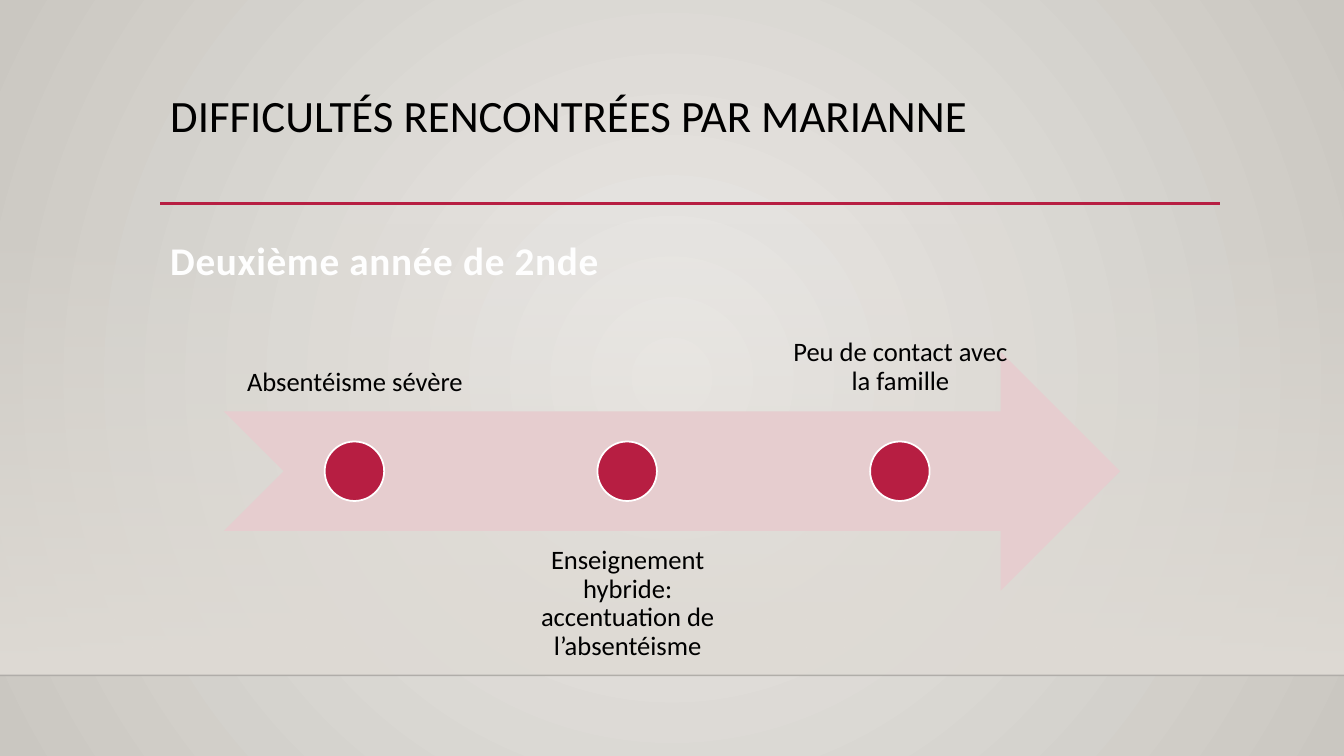
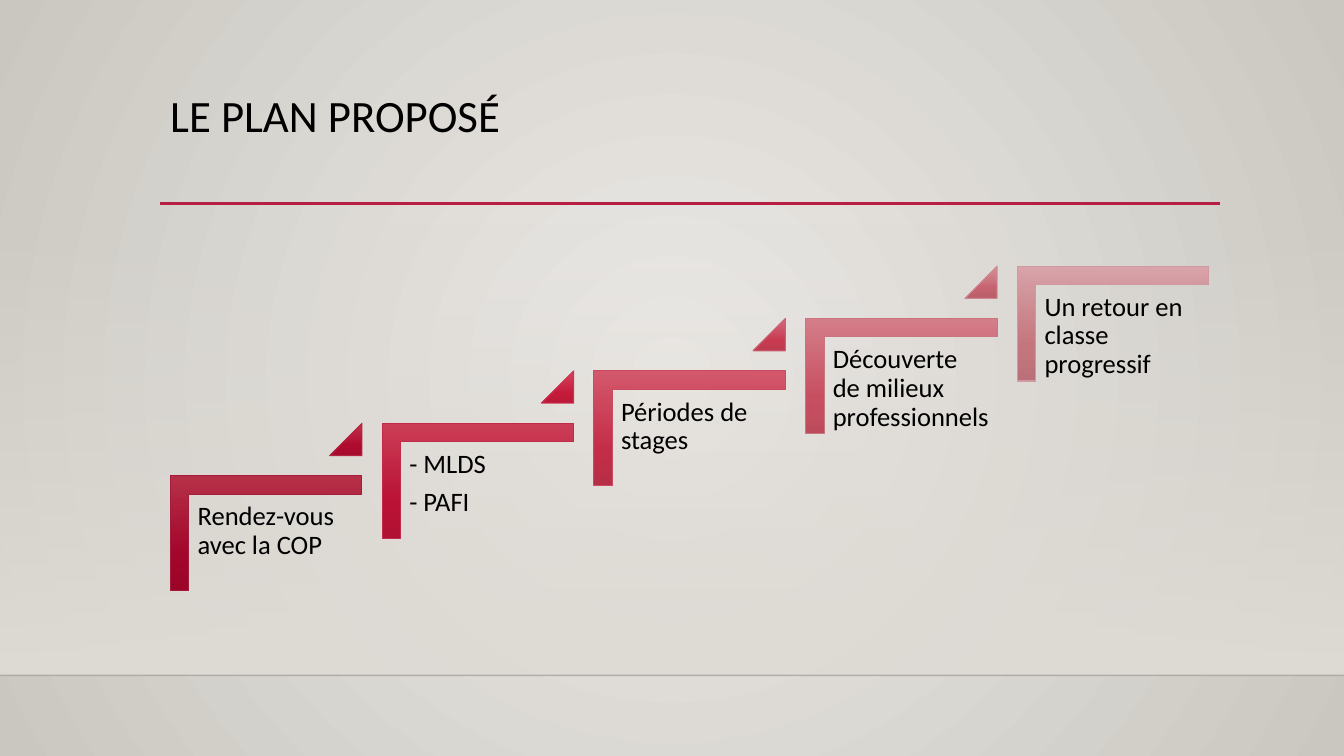
from lxml import etree
from pptx import Presentation
from pptx.dml.color import RGBColor
from pptx.enum.shapes import MSO_CONNECTOR, MSO_SHAPE
from pptx.enum.text import MSO_ANCHOR, PP_ALIGN
from pptx.oxml.ns import qn
from pptx.util import Inches, Pt

STRAIGHT = MSO_CONNECTOR.STRAIGHT
RECTANGLE, OVAL = MSO_SHAPE.RECTANGLE, MSO_SHAPE.OVAL
ARROW, CORNER = MSO_SHAPE.NOTCHED_RIGHT_ARROW, MSO_SHAPE.CORNER
TRIANGLE = MSO_SHAPE.ISOSCELES_TRIANGLE
TOP, BOTTOM = MSO_ANCHOR.TOP, MSO_ANCHOR.BOTTOM
LEFT, CENTER = PP_ALIGN.LEFT, PP_ALIGN.CENTER

color = RGBColor.from_string
FONT = "Calibri"
BLACK, WHITE, OFF_WHITE = "000000", "FFFFFF", "FEFEFE"
CRIMSON, PINK, SAND = "B71E42", "E6CDCF", "DFDBD5"


def add_text(page, area, lines, size, tint=BLACK, align=LEFT, anchor=TOP,
             inset=None, spacing=0.9, before=0, after=0):
    box = page.shapes.add_textbox(*map(Inches, area))
    frame = box.text_frame
    frame.word_wrap = True
    frame.vertical_anchor = anchor
    if inset is not None:
        frame.margin_left = frame.margin_right = Inches(inset)
        frame.margin_top = frame.margin_bottom = Inches(inset)
    frame.text = "\n".join(lines)
    for para in frame.paragraphs:
        para.alignment = align
        para.line_spacing = spacing
        para.space_before, para.space_after = Pt(before), Pt(after)
        para.font.name, para.font.size = FONT, Pt(size)
        para.font.color.rgb = color(tint)
    return box


def paint_gradient(fill, element, stops, radial=False):
    """Stops are (percent, colour, opacity percent)."""
    fill.gradient()
    gradient = next(element.iter(qn("a:gradFill")))
    gradient.set("rotWithShape", "0")
    for child in list(gradient):
        gradient.remove(child)
    stop_list = etree.SubElement(gradient, qn("a:gsLst"))
    for percent, tint, opacity in stops:
        stop = etree.SubElement(stop_list, qn("a:gs"), pos=str(percent * 1000))
        shade = etree.SubElement(stop, qn("a:srgbClr"), val=tint)
        if opacity < 100:
            etree.SubElement(shade, qn("a:alpha"), val=str(opacity * 1000))
    if radial:
        circle = etree.SubElement(gradient, qn("a:path"), {"path": "circle"})
        etree.SubElement(circle, qn("a:fillToRect"),
                         dict.fromkeys("ltrb", "50000"))
    else:
        etree.SubElement(gradient, qn("a:lin"), ang="5400000", scaled="0")


deck = Presentation()
deck.slide_width, deck.slide_height = Inches(13.33), Inches(7.5)

# Shared background
master = deck.slide_master
paint_gradient(master.background.fill, master._element,
               [(0, "ECEAE7", 100), (100, "CAC7C1", 100)], radial=True)

# Shared band, rules and title
pages = []
for title in ("DIFFICULTÉS RENCONTRÉES PAR MARIANNE", "LE PLAN PROPOSÉ"):
    page = deck.slides.add_slide(deck.slide_layouts[6])
    band = page.shapes.add_shape(RECTANGLE, 0, Inches(2.21),
                                 deck.slide_width, Inches(4.49))
    band.shadow.inherit = False
    band.line.fill.background()
    paint_gradient(band.fill, band._element, [(0, SAND, 0), (100, SAND, 100)])
    for left, right, top, tint, width, opacity in (
            (0, 13.33, 6.7, "000001", 1, 20),
            (1.59, 12.1, 2.02, CRIMSON, 2.5, 100)):
        rule = page.shapes.add_connector(STRAIGHT, Inches(left), Inches(top),
                                         Inches(right), Inches(top))
        rule.line.color.rgb = color(tint)
        rule.line.width = Pt(width)
        shade = next(rule._element.spPr.iter(qn("a:srgbClr")))
        etree.SubElement(shade, qn("a:alpha"), val=str(opacity * 1000))
        etree.SubElement(rule._element.spPr, qn("a:effectLst"))
    add_text(page, (1.59, 0.88, 10.5, 1.15), [title], 32)
    pages.append(page)
timeline_page, plan_page = pages

# Slide 1: outlined subtitle with a soft shadow
subtitle = add_text(timeline_page, (1.59, 2.2, 10.5, 3.77),
                    ["Deuxième année de 2nde"], 28, OFF_WHITE,
                    spacing=1.2, before=10)
para = subtitle.text_frame.paragraphs[0]
para.font.bold = True
span = para.runs[0]._r.get_or_add_rPr()
span.set("spc", "50")
outline = etree.SubElement(span, qn("a:ln"), w=str(Pt(0.75)))
outline_fill = etree.SubElement(outline, qn("a:solidFill"))
etree.SubElement(outline_fill, qn("a:srgbClr"), val=CRIMSON)
effects = etree.SubElement(span, qn("a:effectLst"))
shadow = etree.SubElement(effects, qn("a:outerShdw"), blurRad="0",
                          dist=str(Pt(2)), dir="2700000", algn="tl")
shade = etree.SubElement(shadow, qn("a:srgbClr"), val=CRIMSON)
etree.SubElement(shade, qn("a:alpha"), val="40000")

# Slide 1: timeline arrow with alternating labels
arrow = timeline_page.shapes.add_shape(ARROW, Inches(2.22), Inches(3.49),
                                       Inches(8.89), Inches(2.37))
arrow.shadow.inherit = False
arrow.fill.solid()
arrow.fill.fore_color.rgb = color(PINK)
arrow.line.fill.background()

events = ("Absentéisme sévère",
          "Enseignement hybride: accentuation de l’absentéisme",
          "Peu de contact avec la famille")
for index, event in enumerate(events):
    offset = 2.705 * index
    below = index % 2 == 1
    add_text(timeline_page, (2.23 + offset, 5.27 if below else 1.71, 2.58, 2.37),
             [event], 19, align=CENTER, anchor=TOP if below else BOTTOM,
             inset=0.15, after=6.65)
    dot = timeline_page.shapes.add_shape(OVAL, Inches(3.22 + offset),
                                         Inches(4.38), Inches(0.59), Inches(0.59))
    dot.shadow.inherit = False
    dot.fill.solid()
    dot.fill.fore_color.rgb = color(CRIMSON)
    dot.line.color.rgb = color(WHITE)
    dot.line.width = Pt(1.25)

# Slide 2: rising staircase; each colour set is three stops and a line
steps = (
    (["Rendez-vous avec la COP"],
     ("B53047", "A3062B", "9A0528", "A61B3C"),
     ("C3334C", "AF0B2F", "A60B2D", "B32343")),
    (["- MLDS", "- PAFI"],
     ("CB3D56", "BA1235", "B11132", "C02B4A"),
     ("D5455D", "C41B3B", "BA1A38", "CB3552")),
    (["Périodes de stages"],
     ("D3586C", "C42D47", "B62E46", "CA4B61"),
     ("D36B7B", "C93A50", "BA3C50", "CA6071")),
    (["Découverte de milieux professionnels"],
     ("D47E8A", "C74F60", "BC4C5B", "CB7480"),
     ("D5919A", "C5636F", "BA5E6A", "CD8790")),
    (["Un retour en classe progressif"],
     ("D8A3A9", "C4767E", "BA7078", "D0999F"),
     None),
)
for index, (lines, corner_tints, triangle_tints) in enumerate(steps):
    across, rise = 2.1 * index, 0.52 * index
    for kind, area, turn, adjustments, tints in (
            (CORNER, (2.07, 4.34, 1.14, 1.9), 90, (0.161, 0.161), corner_tints),
            (TRIANGLE, (3.27, 4.2, 0.32, 0.32), 0, (1,), triangle_tints)):
        if tints is None:
            continue
        left, top, width, height = area
        piece = plan_page.shapes.add_shape(
            kind, Inches(left + across), Inches(top - rise),
            Inches(width), Inches(height))
        piece.rotation = turn
        for position, value in enumerate(adjustments):
            piece.adjustments[position] = value
        piece.shadow.inherit = False
        paint_gradient(piece.fill, piece._element,
                       [(percent, tint, 100)
                        for percent, tint in zip((0, 69, 100), tints)])
        piece.line.color.rgb = color(tints[3])
        piece.line.width = Pt(0.75)
    add_text(plan_page, (1.88 + across, 4.91 - rise, 1.71, 1.5), lines, 19,
             inset=0.08, after=6.65)

deck.save("out.pptx")
